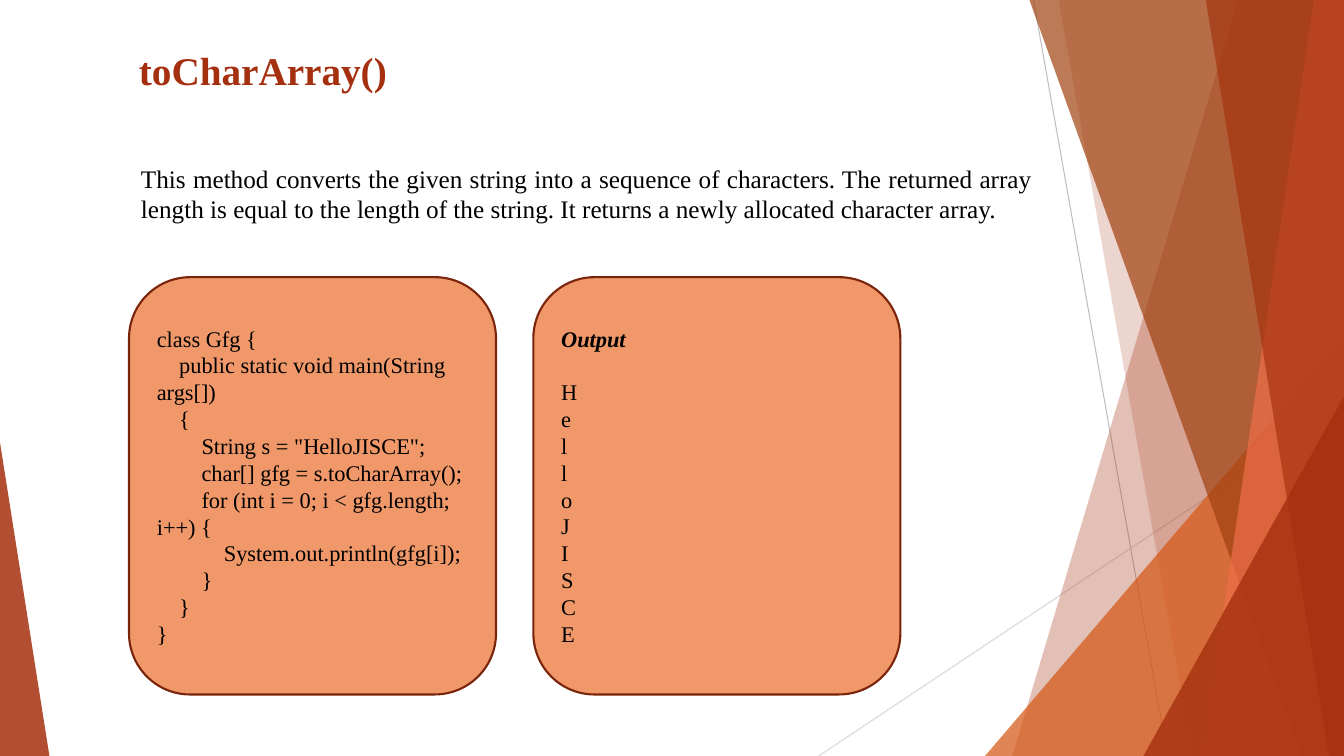
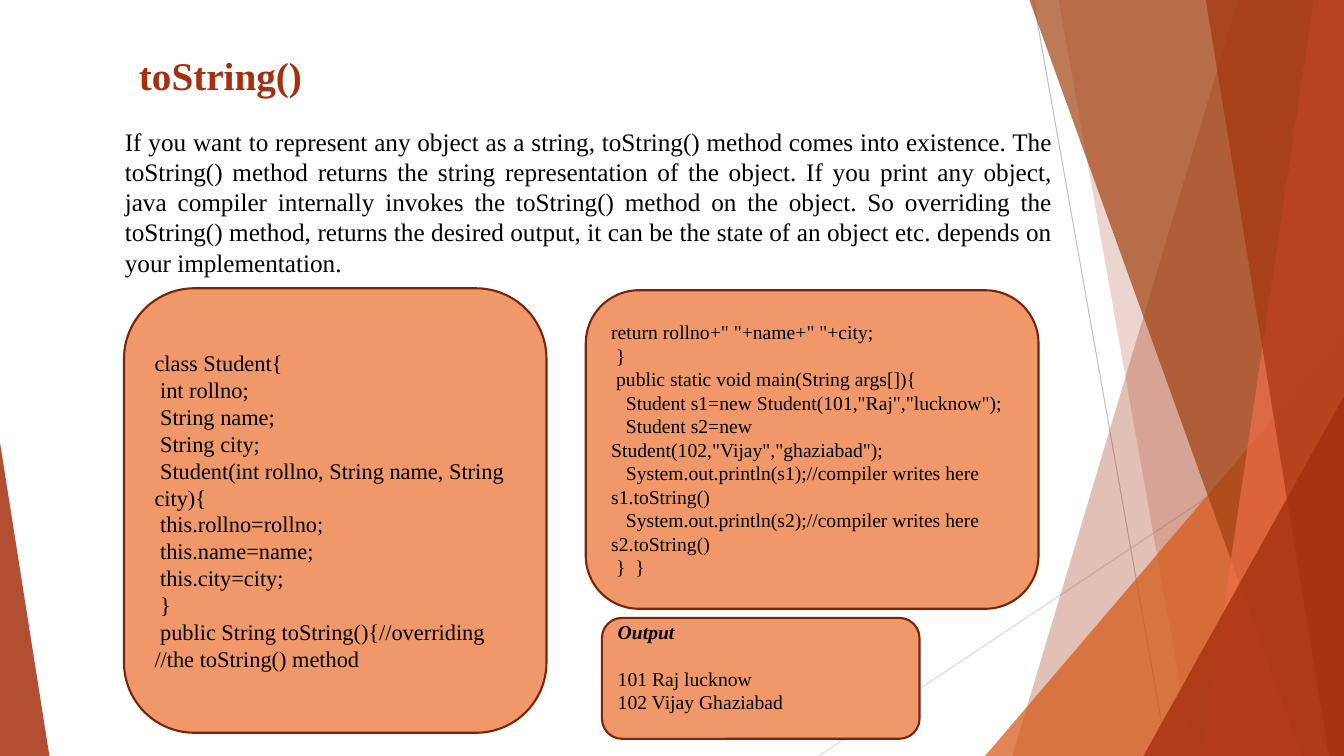
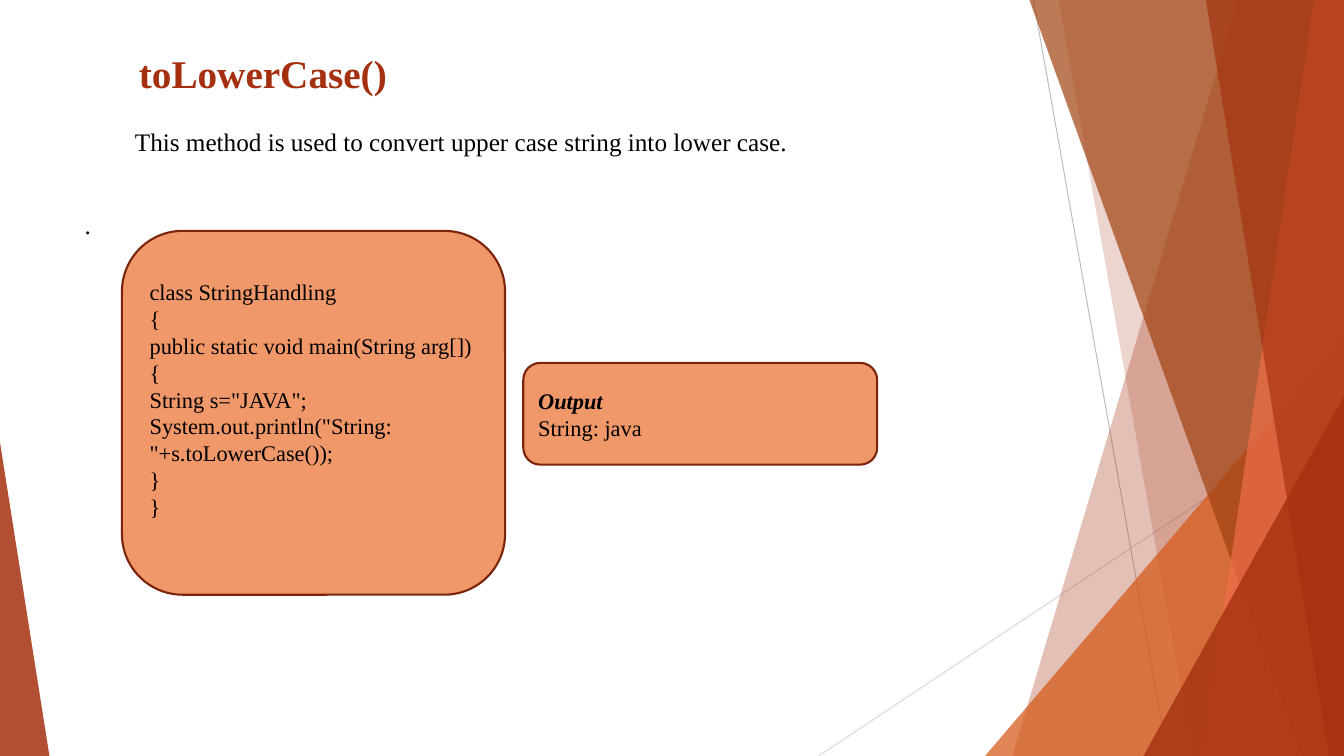
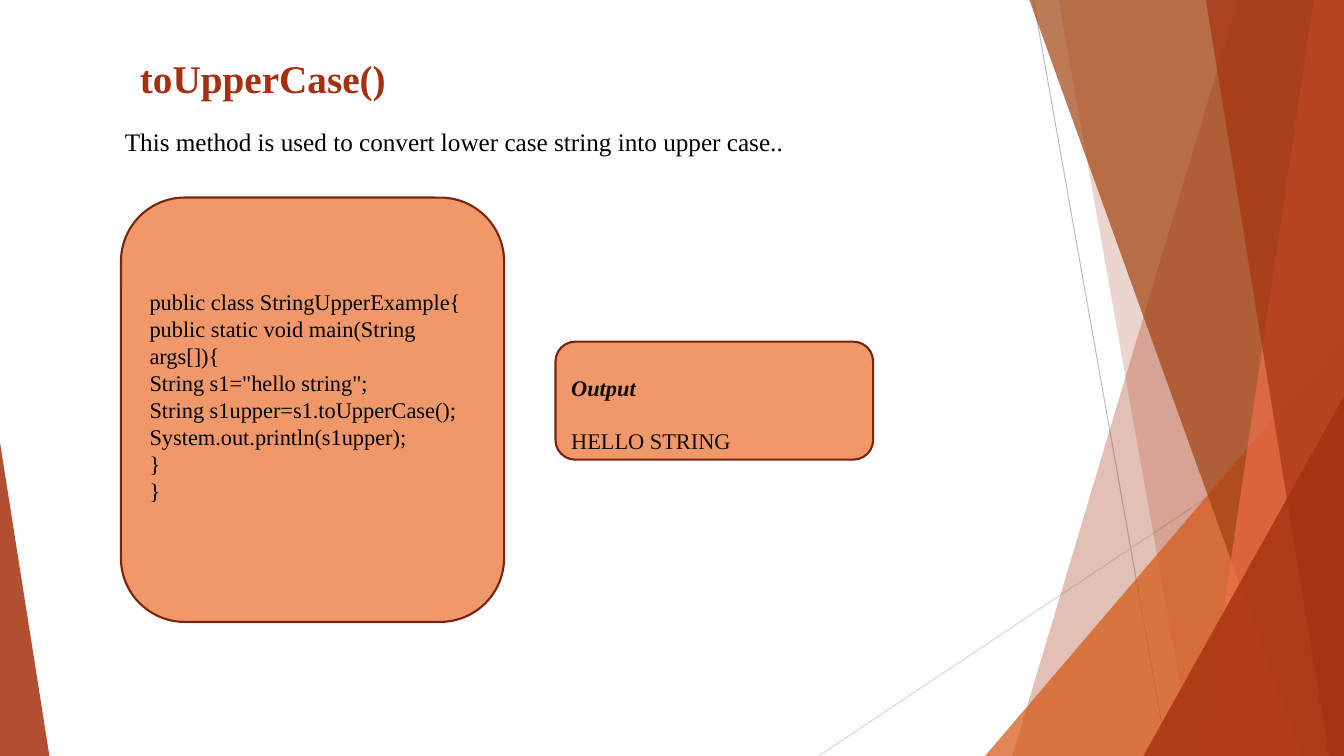
from lxml import etree
from pptx import Presentation
from pptx.dml.color import RGBColor
from pptx.enum import shapes, text
from pptx.oxml import ns
from pptx.util import Inches, Pt

RUST = RGBColor(0xA5, 0x30, 0x0F)
ORANGE = RGBColor(0xD5, 0x58, 0x16)
BROWN = RGBColor(0xA0, 0x42, 0x10)
CORAL = RGBColor(0xEE, 0x6E, 0x4A)
PEACH = RGBColor(0xF0, 0x98, 0x69)
DARK_RUST = RGBColor(0x7A, 0x24, 0x0B)
GREY = RGBColor(0xBF, 0xBF, 0xBF)
LIGHT_GREY = RGBColor(0xD9, 0xD9, 0xD9)
BLACK = RGBColor(0, 0, 0)
NEAR_BLACK = RGBColor(0x0D, 0x0D, 0x0D)
FONT = "Times New Roman"
WIDTH, HEIGHT = 13.33, 7.5
LEFT, JUSTIFY = text.PP_ALIGN.LEFT, text.PP_ALIGN.JUSTIFY


def write(shape, content, size=18, color=BLACK, bold=False, align=LEFT,
          heading=None, gap=0, anchor=text.MSO_ANCHOR.TOP, inset=(0.05, 0.05)):
    """Fill a shape with one paragraph per line, under an optional heading."""
    frame = shape.text_frame
    frame.word_wrap = True
    frame.vertical_anchor = anchor
    frame.margin_top, frame.margin_bottom = map(Inches, inset)
    lines = ([heading] if heading else []) + content.split("\n")
    for number, line in enumerate(lines):
        paragraph = frame.add_paragraph() if number else frame.paragraphs[0]
        paragraph.alignment = align
        if heading and number == 1:
            paragraph.space_before = Pt(gap)
        run = paragraph.add_run()
        run.text = line
        is_heading = bool(heading) and number == 0
        run.font.name, run.font.size = FONT, Pt(size)
        run.font.color.rgb = color
        run.font.bold = bold or is_heading
        run.font.italic = is_heading


def paint(shape, color, opacity=100):
    """Give a shape a plain fill without line or shadow."""
    shape.shadow.inherit = False
    shape.fill.solid()
    shape.fill.fore_color.rgb = color
    shape.line.fill.background()
    if opacity < 100:
        tint = shape.fill._xPr.find(".//" + ns.qn("a:srgbClr"))
        etree.SubElement(tint, ns.qn("a:alpha")).set("val", str(opacity * 1000))


# Content: title box, description box and code cards of each slide
PAGES = [
    {
        "title": ("toCharArray()", 1.28, 0.41),
        "notes": [(
            "This method converts the given string into a sequence of characters. "
            "The returned array length is equal to the length of the string. "
            "It returns a newly allocated character array.",
            (1.3, 1.57, 9.04, 0.71), JUSTIFY)],
        "cards": [
            ((1.28, 2.75, 3.64, 4.14), """class Gfg {
    public static void main(String args[])
    {
        String s = "HelloJISCE";
        char[] gfg = s.toCharArray();
        for (int i = 0; i < gfg.length; i++) {
            System.out.println(gfg[i]);
        }
    }
}""", {}),
            ((5.29, 2.75, 3.64, 4.14), "\n".join("HelloJISCE"),
             {"heading": "Output", "gap": 19}),
        ],
    },
    {
        "title": ("toString()", 1.28, 0.46),
        "notes": [(
            "If you want to represent any object as a string, toString() method "
            "comes into existence. The toString() method returns the string "
            "representation of the object. If you print any object, java compiler "
            "internally invokes the toString() method on the object. So overriding "
            "the toString() method, returns the desired output, it can be the state "
            "of an object etc. depends on your implementation.",
            (1.14, 1.2, 9.4, 1.62), JUSTIFY)],
        "cards": [
            ((1.23, 2.86, 4.19, 4.41), """class Student{
 int rollno;
 String name;
 String city;
 Student(int rollno, String name, String city){
 this.rollno=rollno;
 this.name=name;
 this.city=city;
 }
 public String toString(){//overriding //the toString() method""", {}),
            ((5.97, 6.13, 3.15, 1.2), "101 Raj lucknow\n102 Vijay Ghaziabad",
             {"heading": "Output", "gap": 17, "size": 14, "inset": (0.05, 0.28)}),
            ((5.81, 2.88, 4.49, 3.16), """return rollno+" "+name+" "+city;
 }
 public static void main(String args[]){
   Student s1=new Student(101,"Raj","lucknow");
   Student s2=new Student(102,"Vijay","ghaziabad");
   System.out.println(s1);//compiler writes here s1.toString()
   System.out.println(s2);//compiler writes here s2.toString()
 }  }""", {"size": 14}),
        ],
    },
    {
        "title": ("toLowerCase()", 1.28, 0.44),
        "notes": [
            ("This method is used to convert upper case string into lower case.",
             (1.24, 1.2, 9.2, 0.4), LEFT),
            (".", (0.74, 2.03, 0.4, 0.4), LEFT),
        ],
        "cards": [
            ((1.21, 2.29, 3.8, 3.61), """class StringHandling
{
public static void main(String arg[])
{
String s="JAVA";
System.out.println("String: "+s.toLowerCase());
}
}""", {"inset": (0.05, 0.32)}),
            ((5.19, 3.6, 3.51, 1.01), "String: java", {"heading": "Output"}),
        ],
    },
    {
        "title": ("toUpperCase()", 1.29, 0.49),
        "notes": [(
            "This method is used to convert lower case string into upper case..",
            (1.14, 1.2, 9.4, 0.4), LEFT)],
        "cards": [
            ((1.2, 1.96, 3.8, 4.21), """public class StringUpperExample{
public static void main(String args[]){
String s1="hello string";
String s1upper=s1.toUpperCase();
System.out.println(s1upper);
}
}""", {"inset": (0.05, 0.32)}),
            ((5.51, 3.39, 3.15, 1.17), "HELLO STRING",
             {"heading": "Output", "gap": 19, "color": NEAR_BLACK,
              "inset": (0.32, 0.05)}),
        ],
    },
]

prs = Presentation()
prs.slide_width, prs.slide_height = Inches(WIDTH), Inches(HEIGHT)
layout = prs.slide_layouts[6]
slides = [prs.slides.add_slide(layout) for _ in PAGES]

# Shared backdrop: thin lines first
canvas = slides[0].shapes
for ends, color in [((10.25, 0, 11.58, HEIGHT), GREY),
                    ((WIDTH, 4.03, 8.12, HEIGHT), LIGHT_GREY)]:
    ray = canvas.add_connector(shapes.MSO_CONNECTOR.STRAIGHT, *map(Inches, ends))
    ray.line.color.rgb = color
    ray.line.width = Pt(0.75)
    etree.SubElement(ray.element.spPr, ns.qn("a:effectLst"))

# Bands reach the right edge: (top x, bottom x); triangles: (left, top, width, apex)
for place, color, opacity in [
    ((12.28, 10.04), RUST, 30),
    ((10.5, 11.83), RUST, 20),
    ((9.77, 3.33, 3.56, 1), ORANGE, 72),
    ((10.21, 12.91), BROWN, 70),
    ((13.03, 11.92), CORAL, 70),
    ((11.96, 13.18), RUST, 65),
    ((11.34, 3.93, 1.99, 1), RUST, 80),
    ((0, 4.39, 0.49, 0), RUST, 85),
]:
    if len(place) == 2:
        top_x, bottom_x = map(Inches, place)
        outline = canvas.build_freeform(top_x, 0)
        outline.add_line_segments([(Inches(WIDTH), 0), (Inches(WIDTH), Inches(HEIGHT)),
                                   (bottom_x, Inches(HEIGHT))])
        facet = outline.convert_to_shape()
    else:
        left, top, width, apex = place
        facet = canvas.add_shape(shapes.MSO_SHAPE.ISOSCELES_TRIANGLE, Inches(left),
                                 Inches(top), Inches(width), Inches(HEIGHT - top))
        facet.adjustments[0] = apex
    paint(facet, color, opacity)

# Move the backdrop to the layout, so that every slide shows it
for part in list(canvas):
    layout.shapes.element.append(part.element)

# Slides
for slide, page in zip(slides, PAGES):
    name, left, top = page["title"]
    title = slide.shapes.add_textbox(Inches(left), Inches(top), Inches(8), Inches(0.56))
    write(title, name, size=28, color=RUST, bold=True)

    for sentence, box, align in page["notes"]:
        description = slide.shapes.add_textbox(*map(Inches, box))
        write(description, sentence, align=align)

    for box, code, style in page["cards"]:
        card = slide.shapes.add_shape(shapes.MSO_SHAPE.ROUNDED_RECTANGLE,
                                      *map(Inches, box))
        paint(card, PEACH)
        card.line.color.rgb = DARK_RUST
        card.line.width = Pt(1.5)
        write(card, code, **{"size": 16, "anchor": text.MSO_ANCHOR.MIDDLE, **style})

prs.save("out.pptx")
